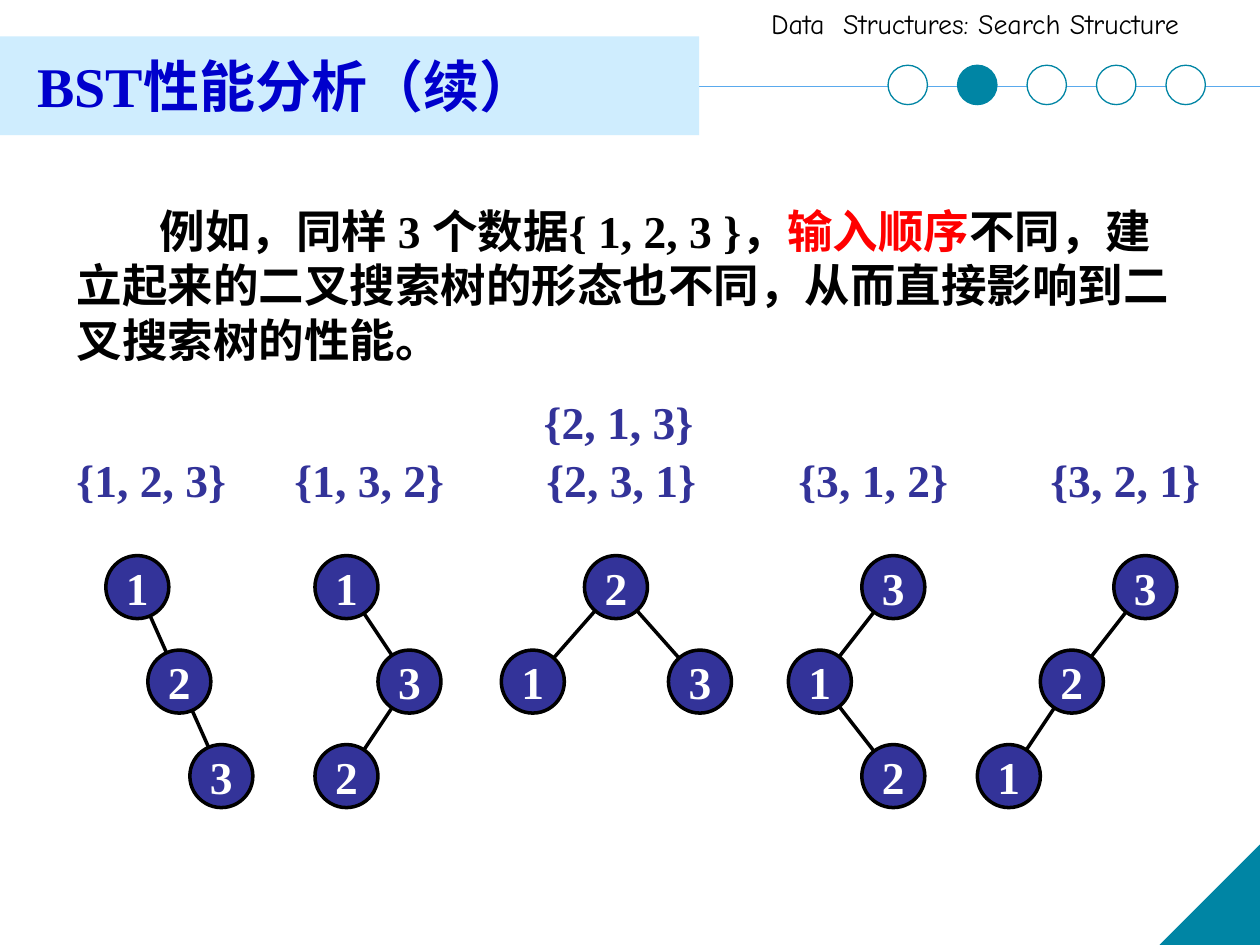
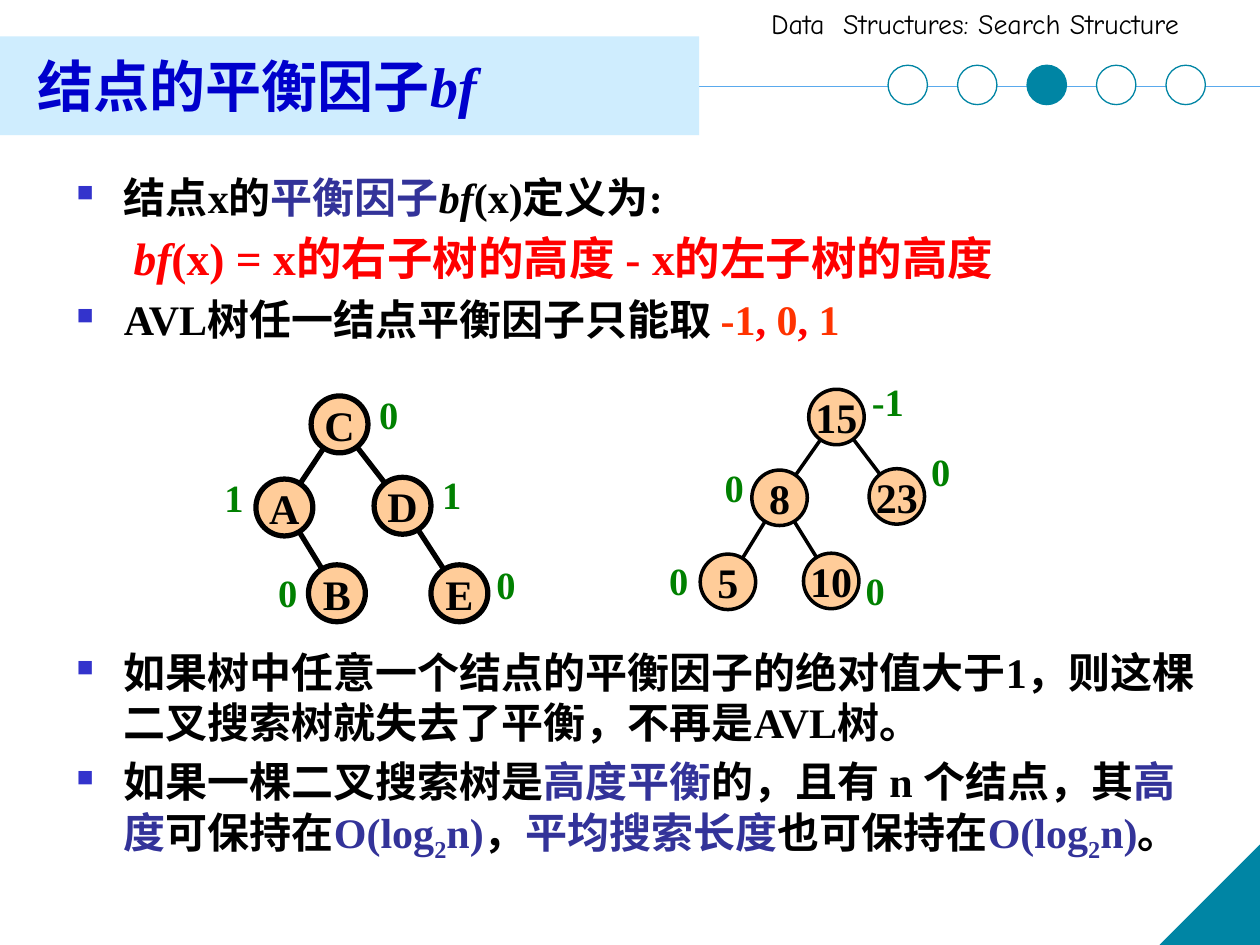
import math
from dataclasses import dataclass

import pptx
import pptx.dml.color
import pptx.enum.shapes
import pptx.enum.text
import pptx.oxml.ns
import pptx.util
from lxml import etree

Pt = pptx.util.Pt
SHAPES = pptx.enum.shapes.MSO_SHAPE
ANCHOR = pptx.enum.text.MSO_ANCHOR
ALIGN = pptx.enum.text.PP_ALIGN
qn = pptx.oxml.ns.qn

SERIF, SANS, HAND = "Times New Roman", "Cabin", "Comic Neue"
BLACK, WHITE, RED, ORANGE = "000000", "FFFFFF", "FF0000", "FF3300"
INDIGO, TITLE_BLUE, GREEN, PEACH = "333399", "0000CC", "008000", "FFCC99"
TEAL, BAND, RULE, BULLET = "0085A4", "CFEDFE", "5AAAED", "3333CC"


@dataclass(frozen=True)
class Span:
    text: str
    color: str = BLACK
    italic: bool = False
    sub: bool = False
    font: str = SERIF
    bold: bool = True


@dataclass(frozen=True)
class Para:
    spans: list[Span]
    size: float
    bullet: bool = False
    margin: float = 0
    indent: float = 0


@dataclass(frozen=True)
class Node:
    label: str
    x: float
    y: float
    factor: str = ""
    factor_at: tuple[float, float] = (0, 0)


@dataclass(frozen=True)
class Look:
    diameter: float
    fill: str
    text: str
    size: float
    line: float


@dataclass(frozen=True)
class Tree:
    nodes: list[Node]
    edges: list[tuple[int, int]]
    look: Look


def rgb(color: str):
    return pptx.dml.color.RGBColor.from_string(color)


def assign(obj, values: dict) -> None:
    for name, value in values.items():
        setattr(obj, name, value)


def add_bullet(p) -> None:
    pPr = p._p.get_or_add_pPr()
    clr = etree.SubElement(pPr, qn("a:buClr"))
    etree.SubElement(clr, qn("a:srgbClr")).set("val", BULLET)
    etree.SubElement(pPr, qn("a:buSzPct")).set("val", "55000")
    etree.SubElement(pPr, qn("a:buChar")).set("char", "■")


def fill_text(tf, paras: list[Para], **para_format) -> None:
    for i, para in enumerate(paras):
        p = tf.add_paragraph() if i else tf.paragraphs[0]
        assign(p, para_format)
        if i:
            p.space_before = Pt(5)
        pPr = p._p.get_or_add_pPr()
        pPr.set("marL", str(Pt(para.margin)))
        pPr.set("indent", str(Pt(para.indent)))
        if para.bullet:
            add_bullet(p)
        for span in para.spans:
            r = p.add_run()
            r.text = span.text
            assign(r.font, {"name": span.font, "size": Pt(para.size),
                            "bold": span.bold, "italic": span.italic})
            r.font.color.rgb = rgb(span.color)
            if span.sub:
                r.font._element.set("baseline", "-25000")


def set_insets(tf, x: float, y: float) -> None:
    assign(tf, {"margin_left": Pt(x), "margin_right": Pt(x),
                "margin_top": Pt(y), "margin_bottom": Pt(y)})


def add_text(s, box: tuple, paras: list[Para], wrap: bool = True,
             anchor=ANCHOR.TOP, insets: tuple = (7.2, 3.6), **para_format) -> None:
    tf = s.shapes.add_textbox(*map(Pt, box)).text_frame
    assign(tf, {"word_wrap": wrap, "vertical_anchor": anchor})
    set_insets(tf, *insets)
    fill_text(tf, paras, **para_format)


def add_shape(s, kind, box: tuple, fill: str, line: str = "", width: float = 0.75):
    sp = s.shapes.add_shape(kind, *map(Pt, box))
    sp.shadow.inherit = False
    sp.fill.solid()
    sp.fill.fore_color.rgb = rgb(fill)
    if line:
        sp.line.color.rgb = rgb(line)
        sp.line.width = Pt(width)
    else:
        sp.line.fill.background()
    return sp


def add_line(s, start: tuple, end: tuple, color: str, width: float) -> None:
    cx = s.shapes.add_connector(pptx.enum.shapes.MSO_CONNECTOR.STRAIGHT,
                                *map(Pt, (*start, *end)))
    cx.line.color.rgb = rgb(color)
    cx.line.width = Pt(width)
    etree.SubElement(cx._element.spPr, qn("a:effectLst"))


def add_edge(s, a: Node, b: Node, look: Look) -> None:
    """Join two nodes from just inside the rim of each."""
    dx, dy = b.x - a.x, b.y - a.y
    k = (look.diameter / 2 - 1) / math.hypot(dx, dy)
    add_line(s, (a.x + k * dx, a.y + k * dy), (b.x - k * dx, b.y - k * dy),
             BLACK, look.line)


def add_tree(s, tree: Tree) -> None:
    look, d = tree.look, tree.look.diameter
    for a, b in tree.edges:
        add_edge(s, tree.nodes[a], tree.nodes[b], look)
    for node in tree.nodes:
        sp = add_shape(s, SHAPES.OVAL, (node.x - d / 2, node.y - d / 2, d, d),
                       look.fill, BLACK, look.line)
        tf = sp.text_frame
        assign(tf, {"word_wrap": False, "vertical_anchor": ANCHOR.MIDDLE})
        set_insets(tf, 0, 0)
        fill_text(tf, [Para([Span(node.label, look.text)], look.size)],
                  alignment=ALIGN.CENTER)
        if node.factor:
            add_text(s, (*node.factor_at, 24, 20),
                     [Para([Span(node.factor, GREEN)], 22)], insets=(0, 0), wrap=False)


def add_frame(prs, title: list[Span], current: int):
    """Add a slide with the header, title band, progress dots and corner."""
    s = prs.slides.add_slide(prs.slide_layouts[6])
    add_line(s, (0, 49.5), (720, 49.5), RULE, 1)
    corner = add_shape(s, SHAPES.RIGHT_TRIANGLE, (663, 483, 57, 57), TEAL, TEAL)
    corner._element.spPr.xfrm.set("flipH", "1")
    add_text(s, (433.5, 0, 286, 27), [Para([
        Span("Data  Structures: Search Structure", font=HAND, bold=False)], 16)])
    add_shape(s, SHAPES.RECTANGLE, (0, 20.75, 399.5, 56.5), BAND)
    for i in range(5):
        add_shape(s, SHAPES.OVAL, (507.5 + 39.7 * i, 37.3, 22.5, 22.5),
                  TEAL if i == current else WHITE, TEAL)
    add_text(s, (14.4, 23.75, 357, 47.5), [Para(title, 32)],
             anchor=ANCHOR.BOTTOM, line_spacing=1.05)
    return s


def order_tree(values: str, xs: tuple, levels: tuple, edges: list) -> Tree:
    nodes = [Node(v, x, 335.5 + 54 * level) for v, x, level in zip(values, xs, levels)]
    return Tree(nodes, edges, Look(36, INDIGO, WHITE, 26, 2))


CHAIN, FORK = [(0, 1), (1, 2)], [(0, 1), (0, 2)]
ORDER_TREES = [
    order_tree("123", (78.5, 102.5, 126.5), (0, 1, 2), CHAIN),
    order_tree("132", (198, 234, 198), (0, 1, 2), CHAIN),
    order_tree("213", (352, 304.5, 400), (0, 1, 1), FORK),
    order_tree("312", (510.5, 468.5, 510.5), (0, 1, 2), CHAIN),
    order_tree("321", (654.5, 612.5, 576.5), (0, 1, 2), CHAIN),
]
ORDER_LABELS = [
    ("{2, 1, 3}", 353.5, 225), ("{1, 2, 3}", 86.5, 258.5), ("{1, 3, 2}", 211, 258.5),
    ("{2, 3, 1}", 355, 258.5), ("{3, 1, 2}", 499, 258.5), ("{3, 2, 1}", 643, 258.5),
]
BALANCE_EDGES = [(0, 1), (0, 2), (1, 3)]
BALANCE_TREES = [
    Tree([Node("C", 194, 242.5, "0", (216.7, 223.2)),
          Node("A", 162.5, 290, "1", (128.2, 270.7)),
          Node("D", 230, 289, "1", (252.7, 269.3)),
          Node("B", 192.5, 339, "0", (159, 325.4)),
          Node("E", 262.5, 339, "0", (283.7, 320.4))],
         BALANCE_EDGES + [(2, 4)], Look(32.5, PEACH, BLACK, 24, 3)),
    Tree([Node("15", 478, 238.3, "-1", (498.2, 216)),
          Node("8", 445.5, 284.5, "0", (414, 265)),
          Node("23", 512.5, 283.7, "0", (532, 256.3)),
          Node("5", 416, 332.5, "0", (382.3, 318.2)),
          Node("10", 475, 332, "0", (494.6, 324))],
         BALANCE_EDGES + [(1, 4)], Look(31.7, PEACH, BLACK, 24, 2)),
]


def bullet(*spans: Span) -> Para:
    return Para(list(spans), 24, True, 27, -27)


def log_n() -> list[Span]:
    return [Span("O(log", INDIGO), Span("2", INDIGO, sub=True), Span("n)", INDIGO)]


def build_performance(prs) -> None:
    s = add_frame(prs, [Span("BST", TITLE_BLUE),
                        Span("性能分析（续）", TITLE_BLUE, font=SANS)], 1)
    add_text(s, (36.7, 112.3, 648, 101), [Para([
        Span("例如，同样 3 个数据{ 1, 2, 3 }，"), Span("输入顺序", RED),
        Span("不同，建立起来的二叉搜索树的形态也不同，从而直接影响到二叉搜索树的性能。"),
    ], 26, indent=47.5)])
    for label, x, y in ORDER_LABELS:
        add_text(s, (x - 50, y, 100, 30), [Para([Span(label, INDIGO)], 26)],
                 insets=(0, 0), alignment=ALIGN.CENTER)
    for tree in ORDER_TREES:
        add_tree(s, tree)


def build_balance(prs) -> None:
    s = add_frame(prs, [Span("结点的平衡因子", TITLE_BLUE, font=SANS),
                        Span("bf", TITLE_BLUE, italic=True)], 2)
    add_text(s, (36.7, 94.3, 663, 105), [
        bullet(Span("结点x的"), Span("平衡因子", INDIGO),
               Span("bf", italic=True), Span("(x)定义为:")),
        Para([Span("bf", RED, italic=True),
              Span("(x) = x的右子树的高度 - x的左子树的高度", RED)], 26, margin=32.5),
        bullet(Span("AVL树任一结点平衡因子只能取 "), Span("-1", ORANGE), Span(", ", RED),
               Span("0", ORANGE), Span(", ", RED), Span("1", ORANGE)),
    ])
    add_text(s, (36.7, 365.7, 663, 160), [
        bullet(Span("如果树中任意一个结点的平衡因子的绝对值大于1，"
                    "则这棵二叉搜索树就失去了平衡，不再是AVL树。")),
        bullet(Span("如果一棵二叉搜索树是"), Span("高度平衡", INDIGO),
               Span("的，且有 n 个结点，其"), Span("高度", INDIGO), Span("可保持在"),
               *log_n(), Span("，"), Span("平均搜索长度", INDIGO),
               Span("也可保持在"), *log_n(), Span("。")),
    ])
    for tree in BALANCE_TREES:
        add_tree(s, tree)


def main() -> None:
    prs = pptx.Presentation()
    assign(prs, {"slide_width": Pt(720), "slide_height": Pt(540)})
    build_performance(prs)
    build_balance(prs)
    prs.save("out.pptx")


if __name__ == "__main__":
    main()
